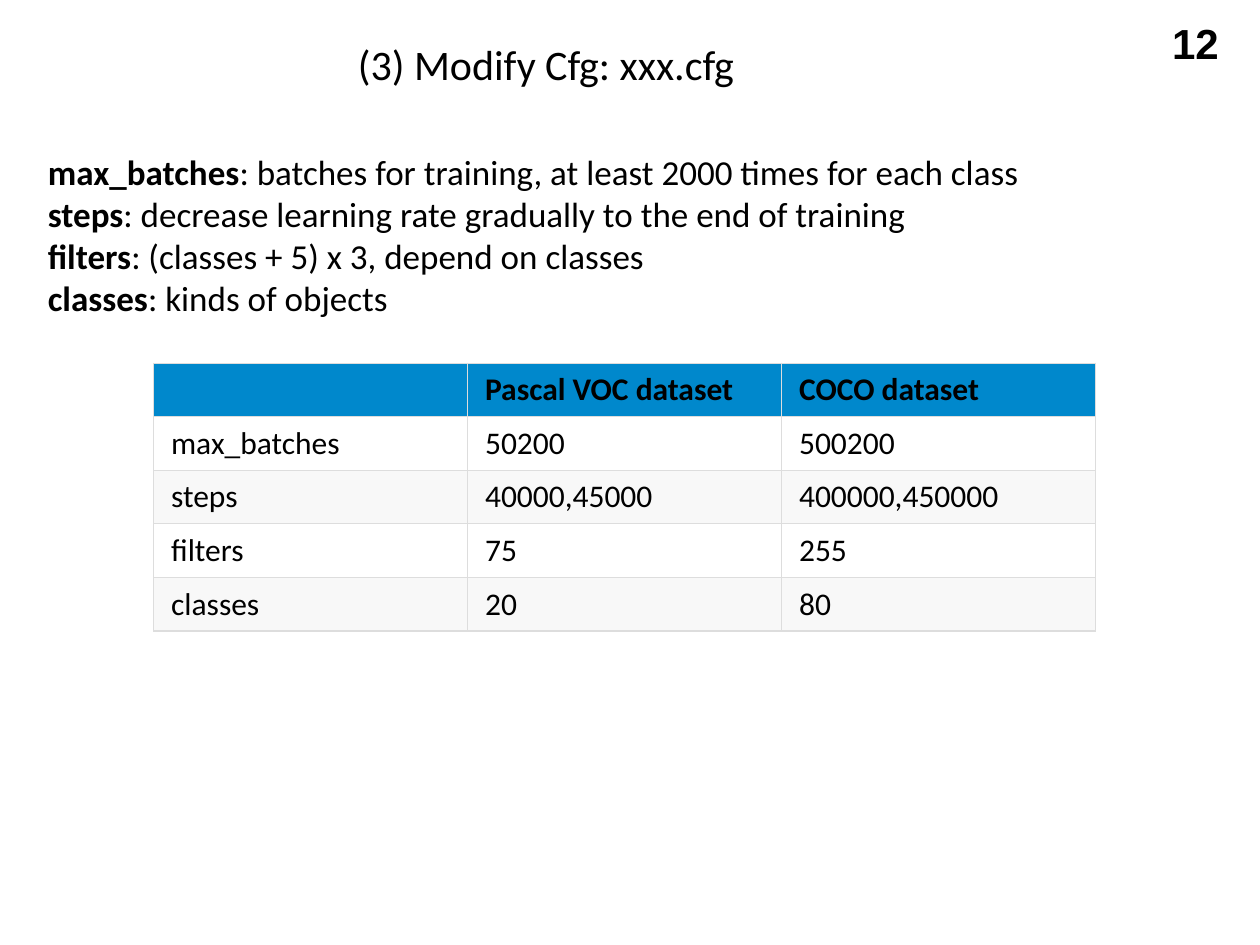
import pptx
import pptx.dml.color
import pptx.enum.text
import pptx.oxml
import pptx.oxml.ns
import pptx.util
from pptx.util import Cm

TITLE = "(3) Modify Cfg: xxx.cfg"
PAGE_NUMBER = "12"
SETTINGS = [
    ("max_batches", ": batches for training, at least 2000 times for each class"),
    ("steps", ": decrease learning rate gradually to the end of training"),
    ("filters", ": (classes + 5) x 3, depend on classes"),
    ("classes", ": kinds of objects"),
]
ROWS = [
    ("", "Pascal VOC dataset", "COCO dataset"),
    ("max_batches", "50200", "500200"),
    ("steps", "40000,45000", "400000,450000"),
    ("filters", "75", "255"),
    ("classes", "20", "80"),
]
BLACK, HEADER, BORDER = "000000", "0088CC", "DDDDDD"
BANDS = ("F8F8F8", "FFFFFF")
COLUMN_WIDTH, ROW_HEIGHT = Cm(6.33), Cm(1.08)
ANCHOR = pptx.enum.text.MSO_ANCHOR
ALIGN = pptx.enum.text.PP_ALIGN


def color(code):
    return pptx.dml.color.RGBColor.from_string(code)


def style(span, size, bold=False, name="Calibri"):
    span.font.name = name
    span.font.size = pptx.util.Pt(size)
    span.font.bold = bold
    span.font.color.rgb = color(BLACK)


def place(box, left, top, width, height):
    box.left, box.top, box.width, box.height = Cm(left), Cm(top), Cm(width), Cm(height)


def remove_bullet(para):
    properties = para._p.get_or_add_pPr()
    properties.set("marL", "0")
    properties.set("indent", "0")
    properties.append(pptx.oxml.parse_xml(f"<a:buNone {pptx.oxml.ns.nsdecls('a')}/>"))


def add_borders(cell):
    properties = cell._tc.get_or_add_tcPr()
    for side in ("lnL", "lnR", "lnT", "lnB"):
        properties.append(pptx.oxml.parse_xml(
            f'<a:{side} {pptx.oxml.ns.nsdecls("a")} w="9525"><a:solidFill>'
            f'<a:srgbClr val="{BORDER}"/></a:solidFill></a:{side}>'))


def add_title(slide):
    title = slide.shapes.title
    place(title, 6.96, 0.64, 8.15, 1.27)
    frame = title.text_frame
    frame.text = TITLE
    frame.word_wrap = False
    frame.vertical_anchor = ANCHOR.TOP
    frame.paragraphs[0].alignment = ALIGN.LEFT
    style(frame.paragraphs[0].runs[0], 24)


def add_settings(slide):
    body = slide.placeholders[1]
    place(body, 0.71, 2.9, 20.3, 3.68)
    frame = body.text_frame
    frame.word_wrap = False
    frame.vertical_anchor = ANCHOR.TOP
    for index, parts in enumerate(SETTINGS):
        para = frame.add_paragraph() if index else frame.paragraphs[0]
        para.space_before = pptx.util.Pt(0)
        remove_bullet(para)
        for part, bold in zip(parts, (True, False)):
            span = para.add_run()
            span.text = part
            style(span, 20, bold)


def add_page_number(slide):
    box = slide.shapes.add_textbox(Cm(18.9), Cm(0.2), Cm(5.92), Cm(1.32))
    frame = box.text_frame
    frame.word_wrap = True
    frame.vertical_anchor = ANCHOR.MIDDLE
    frame.text = PAGE_NUMBER
    frame.paragraphs[0].alignment = ALIGN.RIGHT
    style(frame.paragraphs[0].runs[0], 24, True, "Arial")


def add_values_table(slide):
    columns = len(ROWS[0])
    table = slide.shapes.add_table(
        len(ROWS), columns, Cm(3.1), Cm(7.32),
        COLUMN_WIDTH * columns, ROW_HEIGHT * len(ROWS)).table
    for row, texts in enumerate(ROWS):
        for column, text in enumerate(texts):
            cell = table.cell(row, column)
            add_borders(cell)
            cell.fill.solid()
            cell.fill.fore_color.rgb = color(BANDS[row % 2] if row else HEADER)
            cell.margin_left = cell.margin_right = Cm(0.35)
            cell.margin_top = cell.margin_bottom = Cm(0.15)
            cell.vertical_anchor = ANCHOR.MIDDLE
            cell.text_frame.text = text
            for span in cell.text_frame.paragraphs[0].runs:
                style(span, 18, bold=row == 0)


def main():
    deck = pptx.Presentation()
    deck.slide_width, deck.slide_height = Cm(25.4), Cm(19.05)
    slide = deck.slides.add_slide(deck.slide_layouts[1])
    add_page_number(slide)
    add_title(slide)
    add_settings(slide)
    add_values_table(slide)
    deck.save("out.pptx")


if __name__ == "__main__":
    main()
